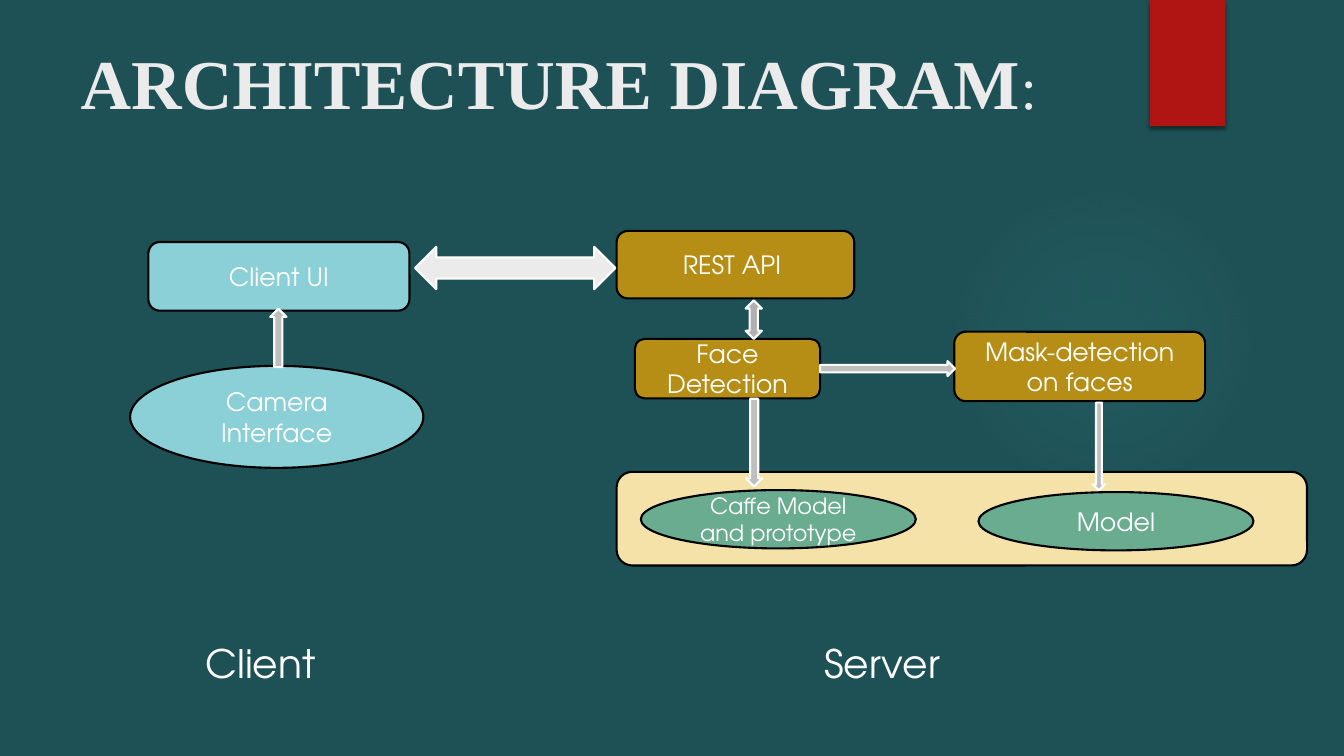
import pptx
import pptx.dml.color
import pptx.enum.shapes
import pptx.enum.text
import pptx.oxml
import pptx.oxml.ns
import pptx.util

Cm = pptx.util.Cm
Pt = pptx.util.Pt
RGBColor = pptx.dml.color.RGBColor
KIND = pptx.enum.shapes.MSO_SHAPE
ALIGN = pptx.enum.text.PP_ALIGN
ANCHOR = pptx.enum.text.MSO_ANCHOR
FIT = pptx.enum.text.MSO_AUTO_SIZE

TEAL = RGBColor(0x1E, 0x51, 0x55)
GLOW = RGBColor(0x50, 0xB9, 0xC1)
RED = RGBColor(0xB0, 0x15, 0x13)
AQUA = RGBColor(0x8A, 0xD0, 0xD6)
GOLD = RGBColor(0xB6, 0x8E, 0x15)
CREAM = RGBColor(0xF5, 0xE2, 0xA9)
GREEN = RGBColor(0x6A, 0xAC, 0x90)
PALE = RGBColor(0xEB, 0xEB, 0xEB)
GREY = RGBColor(0xBF, 0xBF, 0xBF)
DARK_GREY = RGBColor(0xB0, 0xB0, 0xB0)
WHITE = RGBColor(0xFF, 0xFF, 0xFF)
BLACK = RGBColor(0x00, 0x00, 0x00)

SANS = "TeX Gyre Adventor"
SERIF = "Times New Roman"


def write(para, text, size, font=SANS, color=WHITE, bold=False):
    run = para.add_run()
    run.text = text
    run.font.name = font
    run.font.size = Pt(size)
    run.font.bold = bold
    run.font.color.rgb = color


def place(box, left, top, width, height):
    """Turn centimetres inside a box into slide lengths."""
    return Cm(box[0] + left), Cm(box[1] + top), Cm(width), Cm(height)


def draw(slide, kind, spot, fill, edge=None):
    shape = slide.shapes.add_shape(kind, *spot)
    shape.shadow.inherit = False
    shape.fill.solid()
    shape.fill.fore_color.rgb = fill
    if edge is None:
        shape.line.fill.background()
    else:
        shape.line.color.rgb = edge
        shape.line.width = Pt(1.5)
    return shape


def node(slide, kind, spot, fill, text, size=18):
    shape = draw(slide, kind, spot, fill, BLACK)
    frame = shape.text_frame
    frame.word_wrap = True
    frame.vertical_anchor = ANCHOR.MIDDLE
    para = frame.paragraphs[0]
    para.alignment = ALIGN.CENTER
    write(para, text, size)


def arrow(slide, spot, turn=0, kind=KIND.RIGHT_ARROW, fill=GREY):
    draw(slide, kind, spot, fill, WHITE).rotation = turn


def label(slide, spot, text):
    frame = slide.shapes.add_textbox(*spot).text_frame
    frame.word_wrap = True
    frame.auto_size = FIT.SHAPE_TO_FIT_TEXT
    write(frame.paragraphs[0], text, 28)


def add_glow(slide, box):
    shape = draw(slide, KIND.OVAL, place(box, 0, 0, 7.82, 7.82), GLOW)
    stops = "".join(
        f'<a:gs pos="{pos}000"><a:srgbClr val="{GLOW}">'
        f'<a:alpha val="{alpha}000"/></a:srgbClr></a:gs>'
        for pos, alpha in ((0, 7), (36, 6), (69, 0)))
    blend = pptx.oxml.parse_xml(
        f'<a:gradFill {pptx.oxml.ns.nsdecls("a")}><a:gsLst>{stops}</a:gsLst>'
        '<a:path path="circle"><a:fillToRect l="50000" t="50000" r="50000" '
        'b="50000"/></a:path></a:gradFill>')
    props = shape.element.spPr
    props.replace(props.find(pptx.oxml.ns.qn("a:solidFill")), blend)


def add_ribbon(slide, box):
    shape = draw(slide, KIND.RECTANGLE, place(box, 0, 0, 1.9, 3.18), RED)
    shade = pptx.oxml.parse_xml(
        f'<a:outerShdw {pptx.oxml.ns.nsdecls("a")} blurRad="{Pt(3)}" '
        f'dist="{Pt(2)}" dir="5400000" rotWithShape="0">'
        f'<a:srgbClr val="{BLACK}"><a:alpha val="45000"/></a:srgbClr>'
        '</a:outerShdw>')
    shape.element.spPr.find(pptx.oxml.ns.qn("a:effectLst")).append(shade)


def add_title(slide, box):
    title = slide.shapes.title
    title.left, title.top, title.width, title.height = place(
        box, 0, 0, 25.76, 2.36)
    frame = title.text_frame
    frame.word_wrap = True
    frame.auto_size = FIT.NONE
    frame.vertical_anchor = ANCHOR.BOTTOM
    para = frame.paragraphs[0]
    para.alignment = ALIGN.LEFT
    write(para, "ARCHITECTURE DIAGRAM", 50, SERIF, PALE, True)
    write(para, ":", 42, SERIF, PALE)


def add_client(slide, box):
    node(slide, KIND.OVAL, place(box, 0, 3.12, 7.39, 2.57), AQUA,
         "Camera Interface")
    node(slide, KIND.ROUNDED_RECTANGLE, place(box, 0.46, 0, 6.58, 1.73), AQUA,
         "Client UI")
    arrow(slide, place(box, 3, 2.21, 1.47, 0.41), 270)
    label(slide, place(box, 1.65, 9.88, 6.65, 1.45), "Client")


def add_server(slide, box):
    draw(slide, KIND.ROUNDED_RECTANGLE, place(box, 0, 6.07, 17.4, 2.36),
         CREAM, BLACK)
    for text, size, left, top in (
            ("Caffe Model and prototype", 16, 0.61, 6.53),
            ("Model", 18, 9.12, 6.58)):
        node(slide, KIND.OVAL, place(box, left, top, 6.93, 1.47), GREEN,
             text, size)
    for text, *spot in (
            ("REST API ", 0, 0, 5.99, 1.7),
            ("Face Detection", 0.46, 2.72, 4.67, 1.5),
            ("Mask-detection on faces", 8.51, 2.54, 6.32, 1.75)):
        node(slide, KIND.ROUNDED_RECTANGLE, place(box, *spot), GOLD, text)
    arrow(slide, place(box, 2.97, 2.03, 0.97, 0.41), 90,
          KIND.LEFT_RIGHT_ARROW, DARK_GREY)
    arrow(slide, place(box, 5.13, 3.28, 3.4, 0.38))
    arrow(slide, place(box, 2.36, 5.13, 2.21, 0.41), 90)
    arrow(slide, place(box, 11.05, 5.28, 2.21, 0.3), 90)
    label(slide, place(box, 4.98, 10.16, 4.39, 1.45), "Server")


def add_link(slide, box):
    arrow(slide, place(box, 0, 0, 5.05, 1.07),
          kind=KIND.LEFT_RIGHT_ARROW, fill=PALE)


def main():
    deck = pptx.Presentation()
    deck.slide_width, deck.slide_height = Cm(33.87), Cm(19.05)
    slide = deck.slides.add_slide(deck.slide_layouts[5])
    slide.background.fill.solid()
    slide.background.fill.fore_color.rgb = TEAL
    add_glow(slide, (23.9, 4.65))
    add_ribbon(slide, (28.98, 0))
    add_title(slide, (1.78, 0.89))
    add_client(slide, (3.28, 6.1))
    add_server(slide, (15.54, 5.82))
    add_link(slide, (10.46, 6.22))
    deck.save("out.pptx")


if __name__ == "__main__":
    main()
